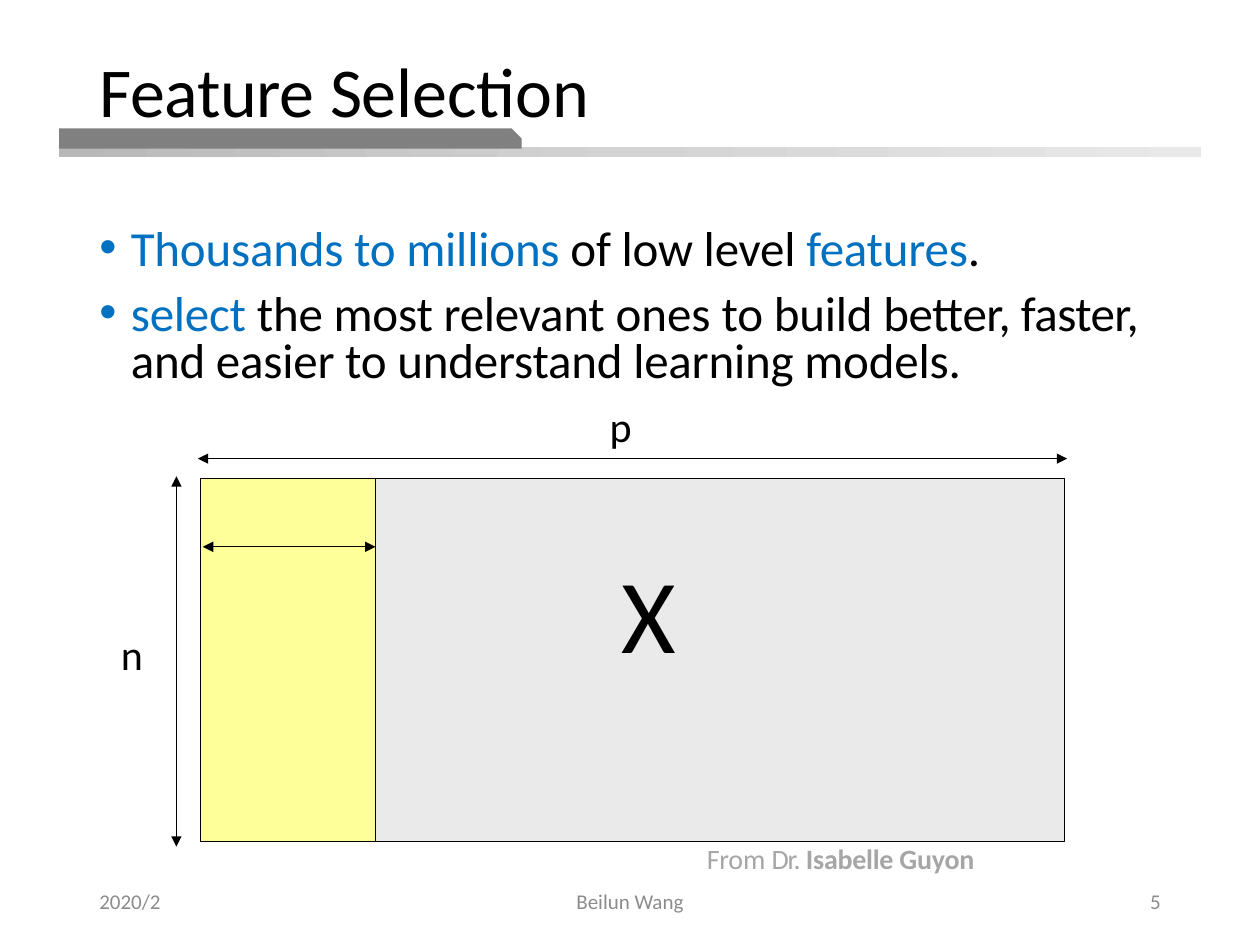
from copy import deepcopy

from lxml import etree
from pptx import Presentation
from pptx.dml.color import RGBColor
from pptx.enum.shapes import MSO_CONNECTOR, MSO_SHAPE
from pptx.enum.text import MSO_ANCHOR, PP_ALIGN
from pptx.oxml.ns import qn
from pptx.util import Inches, Pt

LEFT, CENTER, RIGHT = PP_ALIGN.LEFT, PP_ALIGN.CENTER, PP_ALIGN.RIGHT
TOP, MIDDLE = MSO_ANCHOR.TOP, MSO_ANCHOR.MIDDLE
RECTANGLE, SNIPPED = MSO_SHAPE.RECTANGLE, MSO_SHAPE.SNIP_1_RECTANGLE
STRAIGHT = MSO_CONNECTOR.STRAIGHT
FONT = "Calibri"
BLACK, BLUE, GRAY, LIGHT_GRAY = "000000", "0070C0", "8C8C8C", "A6A6A6"


def color(hex_text):
    return RGBColor.from_string(hex_text)


def set_font(font, size, hex_text):
    font.name = FONT
    font.size = Pt(size)
    font.color.rgb = color(hex_text)


def add_run(paragraph, text, spacing=0):
    """Add a run with letter spacing in points."""
    run = paragraph.add_run()
    run.text = text
    if spacing:
        run.font._element.set("spc", str(round(spacing * 100)))
    return run


def add_text(slide, box, size, hex_text, text="", align=LEFT, anchor=TOP,
             tight=False, wrap=True):
    """Add a text box and return its first paragraph."""
    frame = slide.shapes.add_textbox(*map(Inches, box)).text_frame
    frame.word_wrap = wrap
    frame.vertical_anchor = anchor
    if tight:
        frame.margin_left = frame.margin_right = frame.margin_bottom = 0
        frame.margin_top = Inches(0.01)
    paragraph = frame.paragraphs[0]
    paragraph.alignment = align
    set_font(paragraph.font, size, hex_text)
    if text:
        add_run(paragraph, text)
    return paragraph


def add_box(slide, kind, box, fill, line=None):
    shape = slide.shapes.add_shape(kind, *map(Inches, box))
    shape.shadow.inherit = False
    shape.fill.solid()
    shape.fill.fore_color.rgb = color(fill)
    if line:
        shape.line.color.rgb = color(line)
        shape.line.width = Pt(0.75)
    else:
        shape.line.fill.background()
    return shape


def add_double_arrow(slide, start, end):
    connector = slide.shapes.add_connector(STRAIGHT, *map(Inches, start + end))
    connector.line.color.rgb = color(BLACK)
    connector.line.width = Pt(0.75)
    line = connector.line._get_or_add_ln()
    for name in ("a:headEnd", "a:tailEnd"):
        etree.SubElement(line, qn(name), type="triangle")
    etree.SubElement(connector._element.spPr, qn("a:effectLst"))


def add_title_rule(slide, left, top, width):
    """Gradient strip with a dark snipped tab resting on it."""
    strip = add_box(slide, RECTANGLE, (left, top + 0.15, width, 0.08), "D3D3D3")
    strip.fill.gradient()
    strip.fill.gradient_angle = 0
    first, last = strip.fill.gradient_stops
    first.color.rgb, first.position = color("B8B8B8"), 0
    last.color.rgb, last.position = color("E9E9E9"), 1
    stops = strip._element.spPr.find(qn("a:gradFill")).find(qn("a:gsLst"))
    stops.insert(1, deepcopy(stops[0]))
    middle = strip.fill.gradient_stops[1]
    middle.color.rgb, middle.position = color("D3D3D3"), 0.5

    tab = add_box(slide, SNIPPED, (left, top, 3.67, 0.16), "808080")
    tab.adjustments[0] = 0.5


def fill_title(slide, box):
    title = slide.shapes.title
    title.left, title.top, title.width, title.height = map(Inches, box)
    title.text_frame.vertical_anchor = TOP
    paragraph = title.text_frame.paragraphs[0]
    paragraph.alignment = LEFT
    paragraph.line_spacing = 0.9
    set_font(paragraph.font, 40, BLACK)
    add_run(paragraph, "Feature ", -0.2)
    add_run(paragraph, "Selection", -0.1)


def add_bullets(slide, box):
    bullets = [
        [("Thousands to millions ", BLUE, -0.1), ("of low level ", BLACK, -0.1),
         ("features", BLUE, -0.1), (".", BLACK, -0.1)],
        [("select", BLUE, -0.1), (" the most relevant ", BLACK, -0.1),
         ("ones ", BLACK, 0), ("to build ", BLACK, -0.1),
         ("better, faster, ", BLACK, -0.3),
         ("and easier to understand learning models.", BLACK, -0.1)],
    ]
    paragraph = add_text(slide, box, 28, BLACK)
    frame = paragraph._parent
    for index, runs in enumerate(bullets):
        if index:
            paragraph = frame.add_paragraph()
            set_font(paragraph.font, 28, BLACK)
        paragraph.line_spacing = 0.8
        paragraph.space_before = Pt(10)
        properties = paragraph._p.get_or_add_pPr()
        properties.set("marL", str(Inches(0.25)))
        properties.set("indent", str(Inches(-0.25)))
        bullet_font = etree.Element(qn("a:buFont"), typeface="Arial")
        bullet = etree.Element(qn("a:buChar"), char="•")
        default_run = properties.find(qn("a:defRPr"))
        default_run.addprevious(bullet_font)
        default_run.addprevious(bullet)
        for text, hex_text, spacing in runs:
            add_run(paragraph, text, spacing).font.color.rgb = color(hex_text)


def add_matrix(slide, left, top, width, height):
    """Data matrix X with n rows, p columns and the selected columns."""
    right, bottom, selected = left + width, top + height, 1.39
    add_box(slide, RECTANGLE, (left, top, width, height), "EAEAEA", BLACK)
    add_box(slide, RECTANGLE, (left, top, selected, height), "FFFF99", BLACK)

    # Dimension arrows
    add_double_arrow(slide, (left - 0.02, top - 0.16), (right + 0.02, top - 0.16))
    add_double_arrow(slide, (left - 0.19, top - 0.02), (left - 0.19, bottom + 0.04))
    add_double_arrow(slide, (left + 0.02, top + 0.54), (left + selected, top + 0.54))

    # Labels
    add_text(slide, (left + 3.34, top + 0.54, 0.45, 1.03), 60, BLACK, "X", tight=True)
    add_text(slide, (left - 0.63, top + 1.18, 0.18, 0.42), 24, BLACK, "n", tight=True)
    add_text(slide, (left + 3.15, top - 0.67, 0.38, 0.5), 24, BLACK, "p", wrap=False)

    # Credit
    credit = add_text(slide, (left + 4.02, bottom - 0.01, 2.48, 0.28), 16,
                      LIGHT_GRAY, tight=True)
    add_run(credit, "From ", -0.1)
    add_run(credit, "Dr. ", -0.6)
    add_run(credit, "Isabelle Guyon", -0.1).font.bold = True


def add_footer(slide, left, top, width, height):
    side, center = 2.25, 3.38
    parts = [
        ("2020/2", left, side, LEFT),
        ("Beilun Wang", left + (width - center) / 2, center, CENTER),
        ("5", left + width - side, side, RIGHT),
    ]
    for text, part_left, part_width, align in parts:
        add_text(slide, (part_left, top, part_width, height), 12, GRAY, text,
                 align, MIDDLE)


def main():
    presentation = Presentation()
    presentation.slide_width = Inches(10)
    presentation.slide_height = Inches(7.5)
    slide = presentation.slides.add_slide(presentation.slide_layouts[5])
    add_title_rule(slide, 0.47, 1.02, 9.06)
    fill_title(slide, (0.69, 0.4, 8.38, 0.64))
    add_bullets(slide, (0.69, 1.77, 8.62, 4.99))
    add_matrix(slide, 1.59, 3.8, 6.86, 2.88)
    add_footer(slide, 0.69, 6.95, 8.62, 0.4)
    presentation.save("out.pptx")


if __name__ == "__main__":
    main()
